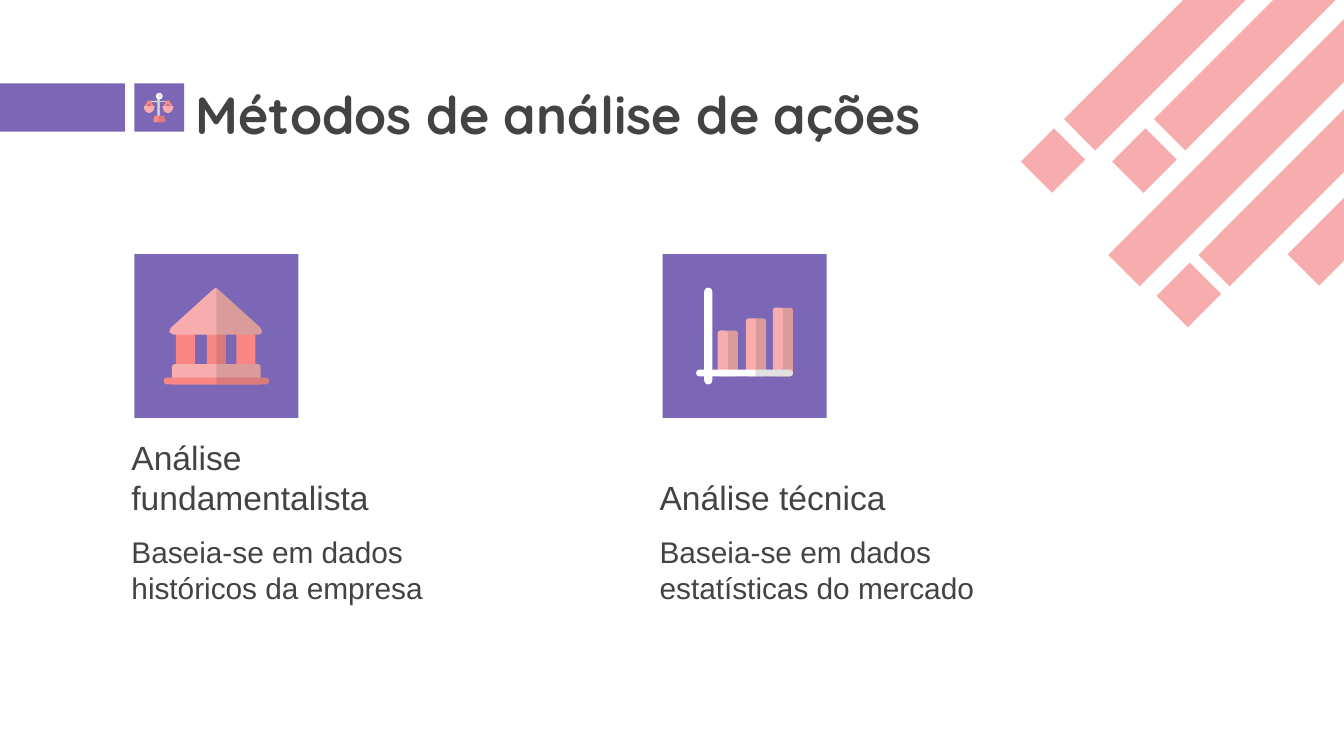
from math import cos, pi, sin
from typing import NamedTuple

from lxml.etree import SubElement
from pptx import Presentation
from pptx.dml.color import RGBColor
from pptx.enum.shapes import MSO_SHAPE as Preset
from pptx.enum.text import MSO_ANCHOR as Anchor
from pptx.oxml.ns import qn
from pptx.util import Inches, Pt

COLORS = {"purple": "7B67B5", "pink": "F7ADAD", "coral": "F98585",
          "dark": "434343", "gray": "E0E0E0", "white": "FFFFFF"}
SHADE_ALPHA = 16
ROUND = 0.02


class Box(NamedTuple):
    left: float
    top: float
    width: float
    height: float


class Method(NamedTuple):
    left: float
    heading: str
    heading_width: float
    heading_height: float
    description: str


Point = tuple[float, float]

# Widescreen slide, 16:9
presentation = Presentation()
presentation.slide_width = Inches(10)
presentation.slide_height = Inches(10 * 9 / 16)
slide = presentation.slides.add_slide(presentation.slide_layouts[6])


def paint(shape, color: str, alpha: int = 100) -> None:
    shape.shadow.inherit = False
    shape.line.fill.background()
    shape.fill.solid()
    shape.fill.fore_color.rgb = RGBColor.from_string(COLORS[color])
    if alpha < 100:
        rgb = shape._element.spPr.find(f"{qn('a:solidFill')}/{qn('a:srgbClr')}")
        SubElement(rgb, qn("a:alpha"), val=str(alpha * 1000))


def add_preset(preset: Preset, box: Box, color: str, rotation: float = 0,
               radius: float = 0, alpha: int = 100) -> None:
    shape = slide.shapes.add_shape(preset, *map(Inches, box))
    shape.rotation = rotation
    if radius:
        shape.adjustments[0] = min(0.5, radius / min(box.width, box.height))
    paint(shape, color, alpha)


def add_rounded(box: Box, color: str, radius: float = ROUND) -> None:
    add_preset(Preset.ROUNDED_RECTANGLE, box, color, radius=radius)


def add_shade(box: Box, radius: float = ROUND) -> None:
    """Darken the right half of a rounded box."""
    width, height = box.width / 2, box.height
    center_x, center_y = box.left + 1.5 * width, box.top + height / 2
    turned = Box(center_x - height / 2, center_y - width / 2, height, width)
    add_preset(Preset.ROUND_2_SAME_RECTANGLE, turned, "dark", 90, radius, SHADE_ALPHA)


def add_polygon(points: list[Point], color: str, alpha: int = 100) -> None:
    start, *others = [(Inches(x), Inches(y)) for x, y in points]
    builder = slide.shapes.build_freeform(*start)
    builder.add_line_segments(others, close=True)
    paint(builder.convert_to_shape(), color, alpha)


def half_disc(x: float, y: float, radius_x: float, radius_y: float,
              start: float) -> list[Point]:
    """Points of a half ellipse, turning clockwise from the start angle."""
    angles = [start + pi * step / 16 for step in range(17)]
    return [(x + radius_x * cos(a), y + radius_y * sin(a)) for a in angles]


def add_text(box: Box, text: str, size: int, font: str = "Arial",
             anchor: Anchor = Anchor.TOP, bold: bool = False) -> None:
    frame = slide.shapes.add_textbox(*map(Inches, box)).text_frame
    frame.word_wrap = True
    frame.vertical_anchor = anchor
    frame.margin_left = frame.margin_right = Inches(0.1)
    frame.margin_top = frame.margin_bottom = Inches(0.1)
    paragraph = frame.paragraphs[0]
    paragraph.text = text
    paragraph.font.name = font
    paragraph.font.size = Pt(size)
    paragraph.font.bold = bold
    paragraph.font.color.rgb = RGBColor.from_string(COLORS["dark"])


def draw_scales() -> None:
    center = 1.18
    # Post and beam
    add_rounded(Box(center - 0.01, 0.72, 0.02, 0.16), "gray", 0.01)
    add_rounded(Box(center - 0.08, 0.75, 0.16, 0.01), "gray", 0.01)
    add_polygon([(center, 0.72), (1.19, 0.72), (1.19, 0.75), (1.26, 0.75),
                 (1.26, 0.76), (1.19, 0.76), (1.19, 0.87), (center, 0.88)],
                "dark", SHADE_ALPHA)
    # Knob and foot
    add_preset(Preset.OVAL, Box(center - 0.02, 0.69, 0.05, 0.05), "white")
    add_polygon(half_disc(center, 0.71, 0.02, 0.02, -pi / 2), "dark", SHADE_ALPHA)
    foot = [(1.22, 0.86), (1.23, 0.9), (1.22, 0.91)]
    add_polygon([(1.15, 0.86), *foot, (1.15, 0.91), (1.14, 0.9)], "coral")
    add_polygon([(center, 0.86), *foot, (center, 0.91)], "dark", SHADE_ALPHA)
    # Pans with their strings
    for x in (1.11, 1.25):
        add_polygon([(x - 0.01, 0.75), (x + 0.01, 0.75), (x + 0.04, 0.8),
                     (x + 0.02, 0.81), (x, 0.77), (x - 0.02, 0.81), (x - 0.04, 0.8)],
                    "coral")
        add_polygon(half_disc(x, 0.79, 0.04, 0.05, 0), "pink")


def draw_bank() -> None:
    center = 1.61
    columns = [Box(left, 2.44, 0.14, 0.33) for left in (1.31, 1.54, 1.76)]
    for column in columns:
        add_rounded(column, "coral")
    add_shade(columns[1])
    # Roof
    right_edge = [(1.62, 2.15), (1.94, 2.44), (1.95, 2.47), (1.93, 2.49)]
    left_edge = [(1.29, 2.49), (1.26, 2.47), (1.27, 2.44), (1.59, 2.15)]
    add_polygon([(center, 2.14), *right_edge, *left_edge], "pink")
    add_polygon([(center, 2.14), *right_edge, (center, 2.49)], "dark", SHADE_ALPHA)
    # Base and step
    for box, color in ((Box(1.28, 2.71, 0.66, 0.15), "pink"),
                       (Box(1.22, 2.81, 0.78, 0.05), "coral")):
        add_rounded(box, color)
        add_shade(box)


def draw_bar_icon() -> None:
    bottom = 2.8
    for left, top in ((5.34, 2.46), (5.55, 2.37), (5.75, 2.29)):
        bar = Box(left, top, 0.15, bottom - top)
        add_rounded(bar, "pink")
        add_shade(bar)
    # Axes
    add_rounded(Box(5.24, 2.14, 0.06, 0.72), "white", 0.03)
    add_rounded(Box(5.18, 2.75, 0.72, 0.05), "white", 0.03)
    add_shade(Box(5.34, 2.75, 0.56, 0.05), 0.03)


# Diagonal stripes in the corner
STRIPES = [(7.66, 1.03, 0.35), (7.59, -0.23, 3.02), (8.34, 1.03, 0.35),
           (8.26, -0.23, 3.02), (7.92, 0.78, 3.02), (9.5, 1.37, 1.34),
           (8.59, 0.78, 3.02), (8.67, 2.03, 0.35)]
for left, top, length in STRIPES:
    add_preset(Preset.RECTANGLE, Box(left, top, length, 0.33), "pink", 135)

# Title band
for left, width in ((0, 0.93), (1, 0.37)):
    add_preset(Preset.RECTANGLE, Box(left, 0.62, width, 0.36), "purple")
add_text(Box(1.36, 0.57, 6.78, 0.55), "Métodos de análise de ações", 28,
         "Quicksand", Anchor.MIDDLE, bold=True)
draw_scales()

# Two methods: tile, heading and description
HEADING_BOTTOM = 3.95
METHODS = [
    Method(0.88, "Análise fundamentalista", 2.66, 0.55,
           "Baseia-se em dados históricos da empresa"),
    Method(4.81, "Análise técnica", 1.94, 0.72,
           "Baseia-se em dados estatísticas do mercado"),
]
for method in METHODS:
    add_preset(Preset.RECTANGLE, Box(method.left + 0.12, 1.89, 1.22, 1.22), "purple")
    add_text(Box(method.left, HEADING_BOTTOM - method.heading_height,
                 method.heading_width, method.heading_height),
             method.heading, 18, anchor=Anchor.BOTTOM)
    add_text(Box(method.left, 3.87, 2.74, 1.14), method.description, 16)
draw_bank()
draw_bar_icon()

presentation.save("out.pptx")
